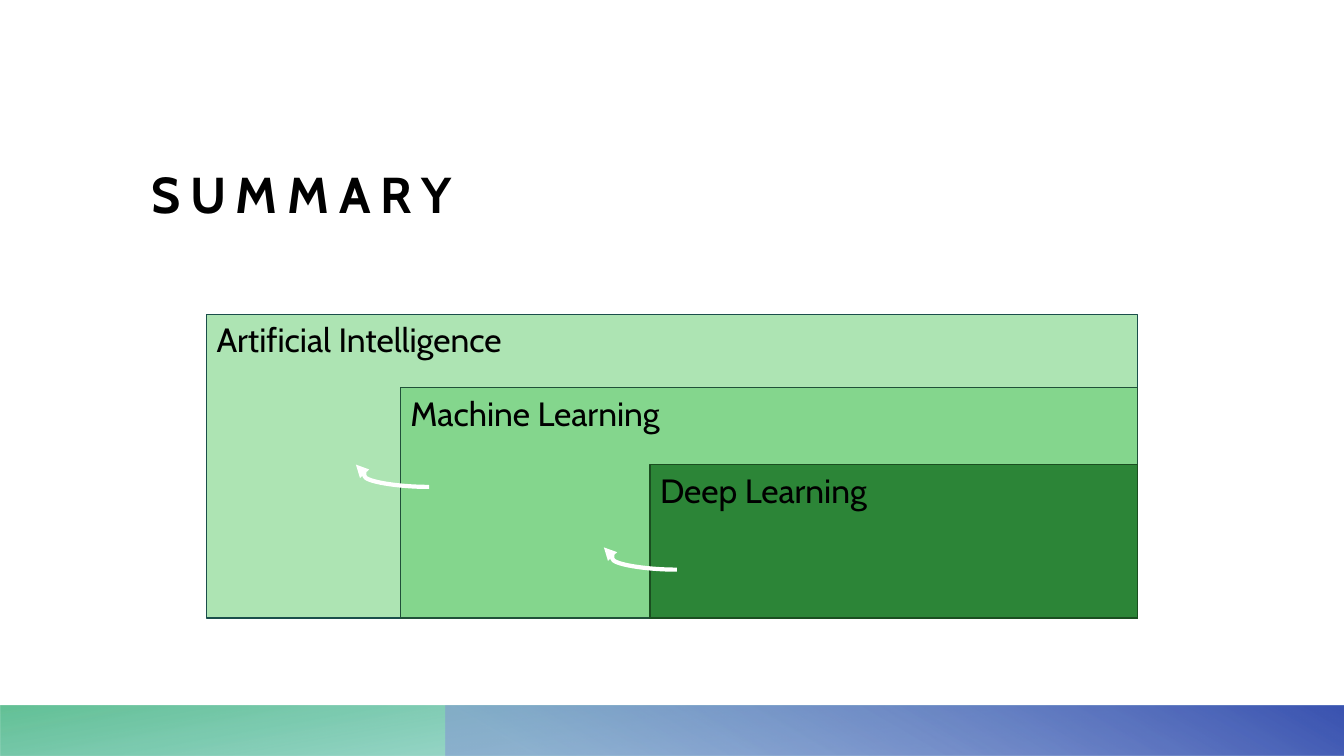
"""Build the summary slide: nested fields of artificial intelligence above a gradient footer."""
from dataclasses import dataclass

import lxml.etree
import pptx
import pptx.dml.color
import pptx.enum.dml
import pptx.enum.shapes
import pptx.enum.text
import pptx.oxml.ns
import pptx.shapes.autoshape
import pptx.slide
import pptx.text.text
import pptx.util

COLORS = {
    "text": "000000",
    "arrow": "FFFFFF",
    "ai": "ADE4B3",
    "ai_line": "1A4E4B",
    "ml": "84D68D",
    "ml_line": "205039",
    "dl": "2C8537",
    "dl_line": "1A4E20",
    "teal": "3BB1AC",
    "green": "48B683",
    "lavender": "8495D6",
    "blue": "3B54B1",
}
FONT = "Cabin"
SLIDE_WIDTH, SLIDE_HEIGHT = 960, 540
FOOTER_TOP = 504
FIELDS_RIGHT, FIELDS_BOTTOM = 812.6, 441.5
ARROW_WIDTH, ARROW_HEIGHT = 52.2, 15.9


@dataclass
class Stop:
    position: float
    color: str
    opacity: int


@dataclass
class FooterBar:
    left: float
    angle: float
    rotation: float
    stops: tuple[Stop, Stop]


@dataclass
class Field:
    name: str
    left: float
    top: float
    color: str


@dataclass
class Arrow:
    right: float
    bottom: float


FOOTER_BARS = [
    FooterBar(0, 100, 180, (Stop(0.14, "teal", 28), Stop(1, "green", 85))),
    FooterBar(318, 240, 0, (Stop(0.09, "lavender", 55), Stop(0.99, "blue", 100))),
]
FIELDS = [
    Field("Artificial Intelligence", 147.6, 224.6, "ai"),
    Field("Machine Learning", 286, 277, "ml"),
    Field("Deep Learning", 464.4, 331.8, "dl"),
]
ARROWS = [Arrow(483.6, 406.9), Arrow(306.5, 347.8)]


def rgb(name: str) -> pptx.dml.color.RGBColor:
    return pptx.dml.color.RGBColor.from_string(COLORS[name])


def add_rectangle(
    slide: pptx.slide.Slide, left: float, top: float, right: float, bottom: float
) -> pptx.shapes.autoshape.Shape:
    bounds = (left, top, right - left, bottom - top)
    shape = slide.shapes.add_shape(
        pptx.enum.shapes.MSO_SHAPE.RECTANGLE, *map(pptx.util.Pt, bounds)
    )
    shape.shadow.inherit = False
    return shape


def add_text(
    paragraph: pptx.text.text._Paragraph, text: str, size: float
) -> pptx.text.text._Run:
    paragraph.alignment = pptx.enum.text.PP_ALIGN.LEFT
    run = paragraph.add_run()
    run.text = text
    run.font.name = FONT
    run.font.size = pptx.util.Pt(size)
    run.font.color.rgb = rgb("text")
    return run


def draw_footer_bar(slide: pptx.slide.Slide, bar: FooterBar) -> None:
    shape = add_rectangle(slide, bar.left, FOOTER_TOP, SLIDE_WIDTH, SLIDE_HEIGHT)
    shape.line.fill.background()
    shape.rotation = bar.rotation
    properties = shape._element.spPr
    properties.find(pptx.oxml.ns.qn("a:xfrm")).set("flipH", "1")
    shape.fill.gradient()
    shape.fill.gradient_angle = 360 - bar.angle
    for gradient_stop, stop in zip(shape.fill.gradient_stops, bar.stops):
        gradient_stop.position = stop.position
        gradient_stop.color.rgb = rgb(stop.color)
    color_elements = properties.iter(pptx.oxml.ns.qn("a:srgbClr"))
    for element, stop in zip(list(color_elements), bar.stops):
        alpha = lxml.etree.SubElement(element, pptx.oxml.ns.qn("a:alpha"))
        alpha.set("val", str(stop.opacity * 1000))


def draw_title(slide: pptx.slide.Slide) -> None:
    bounds = (108, 62.6, 806.4, 97.2)
    frame = slide.shapes.add_textbox(*map(pptx.util.Pt, bounds)).text_frame
    frame.word_wrap = True
    frame.vertical_anchor = pptx.enum.text.MSO_ANCHOR.BOTTOM
    frame.margin_left = frame.margin_right = pptx.util.Pt(0)
    frame.margin_top = frame.margin_bottom = pptx.util.Pt(0)
    run = add_text(frame.paragraphs[0], "SUMMARY", 36)
    run.font.bold = True
    run.font._element.set("spc", "700")


def draw_field(slide: pptx.slide.Slide, field: Field) -> None:
    shape = add_rectangle(slide, field.left, field.top, FIELDS_RIGHT, FIELDS_BOTTOM)
    shape.fill.solid()
    shape.fill.fore_color.rgb = rgb(field.color)
    shape.line.color.rgb = rgb(f"{field.color}_line")
    shape.line.width = pptx.util.Pt(1)
    shape.text_frame.word_wrap = True
    shape.text_frame.vertical_anchor = pptx.enum.text.MSO_ANCHOR.TOP
    add_text(shape.text_frame.paragraphs[0], field.name, 24)


def draw_arrow(slide: pptx.slide.Slide, arrow: Arrow) -> None:
    ends = (
        arrow.right,
        arrow.bottom,
        arrow.right - ARROW_WIDTH,
        arrow.bottom - ARROW_HEIGHT,
    )
    connector = slide.shapes.add_connector(
        pptx.enum.shapes.MSO_CONNECTOR.CURVE, *map(pptx.util.Pt, ends)
    )
    connector.line.color.rgb = rgb("arrow")
    connector.line.width = pptx.util.Pt(3)
    qn = pptx.oxml.ns.qn
    properties = connector._element.spPr
    tail = lxml.etree.SubElement(properties.find(qn("a:ln")), qn("a:tailEnd"))
    tail.set("type", "triangle")
    lxml.etree.SubElement(properties, qn("a:effectLst"))
    adjustments = next(properties.iter(qn("a:avLst")))
    guide = lxml.etree.SubElement(adjustments, qn("a:gd"))
    guide.set("name", "adj1")
    guide.set("fmla", "val 88500")


def main() -> None:
    presentation = pptx.Presentation()
    presentation.slide_width = pptx.util.Pt(SLIDE_WIDTH)
    presentation.slide_height = pptx.util.Pt(SLIDE_HEIGHT)
    slide = presentation.slides.add_slide(presentation.slide_layouts[6])
    for bar in FOOTER_BARS:
        draw_footer_bar(slide, bar)
    draw_title(slide)
    for field in FIELDS:
        draw_field(slide, field)
    for arrow in ARROWS:
        draw_arrow(slide, arrow)
    presentation.save("out.pptx")


if __name__ == "__main__":
    main()
